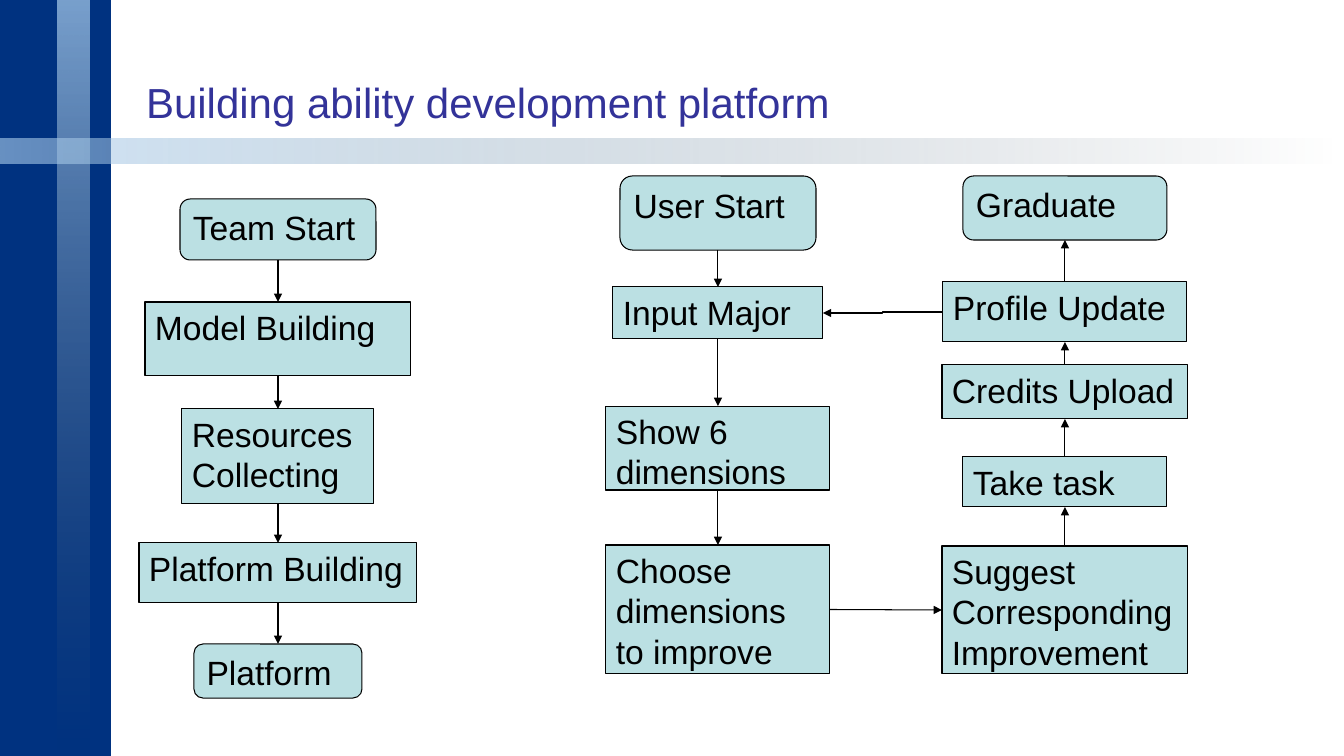
"""Builds the flowchart slide on the ability development platform."""
import dataclasses
import itertools

import lxml.etree
import pptx
import pptx.dml.color
import pptx.enum.shapes
import pptx.enum.text
import pptx.oxml.ns
import pptx.util

SHAPE = pptx.enum.shapes.MSO_SHAPE
CONNECTOR = pptx.enum.shapes.MSO_CONNECTOR
TOP, LEFT, BOTTOM, RIGHT = range(4)


@dataclasses.dataclass(frozen=True)
class Theme:
    """Colours, font and type sizes of the slide."""
    font: str = "Arial"
    title_size: int = 30
    step_size: int = 24
    line_width: float = 0.75
    title: str = "333399"
    ink: str = "000000"
    step: str = "BBE0E3"
    side: str = "003280"
    glow: str = "AED1EF"
    fade: str = "51616F"


def px(length):
    """Turns picture pixels into EMU."""
    return pptx.util.Emu(round(length * 914400 / 100.8))


def rgb(code):
    """Turns a hex code into a colour."""
    return pptx.dml.color.RGBColor.from_string(code)


def add_child(parent, tag, **attributes):
    """Appends a DrawingML element to its parent."""
    return lxml.etree.SubElement(parent, pptx.oxml.ns.qn(tag), **attributes)


class FlowSlide:
    """Holds the theme and the current slide."""

    def __init__(self, slide, theme):
        """Keeps the slide and its theme."""
        self.slide = slide
        self.theme = theme

    def add_run(self, paragraph, wording, size, colour):
        """Adds one styled run to a paragraph."""
        run = paragraph.add_run()
        run.text = wording
        run.font.name = self.theme.font
        run.font.size = pptx.util.Pt(size)
        run.font.color.rgb = rgb(colour)

    def add_title(self, wording, left, top, width, height):
        """Moves and fills the title placeholder."""
        heading = self.slide.shapes.title
        heading.left, heading.top = px(left), px(top)
        heading.width, heading.height = px(width), px(height)
        frame = heading.text_frame
        frame.vertical_anchor = pptx.enum.text.MSO_ANCHOR.BOTTOM
        frame.paragraphs[0].alignment = pptx.enum.text.PP_ALIGN.LEFT
        self.add_run(frame.paragraphs[0], wording, self.theme.title_size, self.theme.title)

    def add_panel(self, left, top, width, height):
        """Adds the solid side panel."""
        panel = self.add_block(SHAPE.RECTANGLE, left, top, width, height)
        panel.fill.solid()
        panel.fill.fore_color.rgb = rgb(self.theme.side)
        panel.line.fill.background()

    def add_band(self, left, top, width, height, angle, opacity):
        """Adds a band that fades to clear along the given angle."""
        band = self.add_block(SHAPE.RECTANGLE, left, top, width, height)
        band.line.fill.background()
        band.fill.gradient()
        band.fill.gradient_angle = angle
        for stop, colour, percent in zip(
            band.fill.gradient_stops, (self.theme.glow, self.theme.fade), (opacity, 0)
        ):
            stop.color.rgb = rgb(colour)
            tint = band.element.findall(".//" + pptx.oxml.ns.qn("a:srgbClr"))[-1 if percent == 0 else 0]
            add_child(tint, "a:alpha", val=str(percent * 1000))

    def add_block(self, outline, left, top, width, height):
        """Adds a preset shape without a shadow."""
        block = self.slide.shapes.add_shape(outline, px(left), px(top), px(width), px(height))
        block.shadow.inherit = False
        return block

    def add_step(self, outline, centre, top, width, height, *lines):
        """Adds a flowchart step centred on its column."""
        step = self.add_block(outline, centre - width // 2, top, width, height)
        step.fill.solid()
        step.fill.fore_color.rgb = rgb(self.theme.step)
        step.line.color.rgb = rgb(self.theme.ink)
        step.line.width = pptx.util.Pt(self.theme.line_width)
        frame = step.text_frame
        frame.word_wrap = True
        frame.vertical_anchor = pptx.enum.text.MSO_ANCHOR.TOP
        for index, wording in enumerate(lines):
            paragraph = frame.add_paragraph() if index else frame.paragraphs[0]
            paragraph.alignment = pptx.enum.text.PP_ALIGN.LEFT
            self.add_run(paragraph, wording, self.theme.step_size, self.theme.ink)
        return step

    def add_arrow(self, source, exit_side, target, entry_side, route=CONNECTOR.STRAIGHT):
        """Adds an arrow glued to two steps."""
        arrow = self.slide.shapes.add_connector(route, 0, 0, 0, 0)
        arrow.begin_connect(source, exit_side)
        arrow.end_connect(target, entry_side)
        arrow.line.color.rgb = rgb(self.theme.ink)
        arrow.line.width = pptx.util.Pt(self.theme.line_width)
        properties = arrow.element.spPr
        add_child(properties.find(pptx.oxml.ns.qn("a:ln")), "a:tailEnd", type="triangle")
        add_child(properties, "a:effectLst")

    def add_column(self, centre, exit_side, entry_side, steps):
        """Adds a column of steps in reading order, joined by arrows."""
        column = [self.add_step(outline, centre, *rest) for outline, *rest in steps]
        for source, target in itertools.pairwise(column):
            self.add_arrow(source, exit_side, target, entry_side)
        return column


TEAM_STEPS = [
    (SHAPE.ROUNDED_RECTANGLE, 199, 196, 61, "Team Start"),
    (SHAPE.RECTANGLE, 302, 266, 74, "Model Building"),
    (SHAPE.RECTANGLE, 409, 192, 95, "Resources Collecting"),
    (SHAPE.RECTANGLE, 543, 278, 60, "Platform Building"),
    (SHAPE.ROUNDED_RECTANGLE, 644, 168, 54, "Platform"),
]
USER_STEPS = [
    (SHAPE.ROUNDED_RECTANGLE, 176, 196, 74, "User Start"),
    (SHAPE.RECTANGLE, 287, 210, 52, "Input Major"),
    (SHAPE.RECTANGLE, 406, 224, 84, "Show 6 dimensions"),
    (SHAPE.RECTANGLE, 545, 224, 129, "Choose dimensions to improve"),
]
TASK_STEPS = [
    (SHAPE.RECTANGLE, 546, 246, 128, "Suggest Corresponding", "Improvement"),
    (SHAPE.RECTANGLE, 457, 204, 50, "Take task"),
    (SHAPE.RECTANGLE, 365, 246, 54, "Credits Upload"),
    (SHAPE.RECTANGLE, 282, 244, 60, "Profile Update"),
    (SHAPE.ROUNDED_RECTANGLE, 176, 204, 64, "Graduate"),
]


def main():
    """Builds and saves the slide."""
    deck = pptx.Presentation()
    deck.slide_width, deck.slide_height = px(1344), px(756)
    flow = FlowSlide(deck.slides.add_slide(deck.slide_layouts[5]), Theme())
    flow.add_panel(0, 0, 111, 756)
    flow.add_band(58, 0, 32, 756, 270, 70)
    flow.add_band(0, 139, 1344, 25, 0, 60)
    flow.add_title("Building ability development platform", 136, 31, 1090, 101)
    flow.add_column(278, BOTTOM, TOP, TEAM_STEPS)
    user = flow.add_column(718, BOTTOM, TOP, USER_STEPS)
    task = flow.add_column(1065, TOP, BOTTOM, TASK_STEPS)
    flow.add_arrow(user[-1], RIGHT, task[0], LEFT)
    flow.add_arrow(task[3], LEFT, user[1], RIGHT, CONNECTOR.ELBOW)
    deck.save("out.pptx")


if __name__ == "__main__":
    main()
